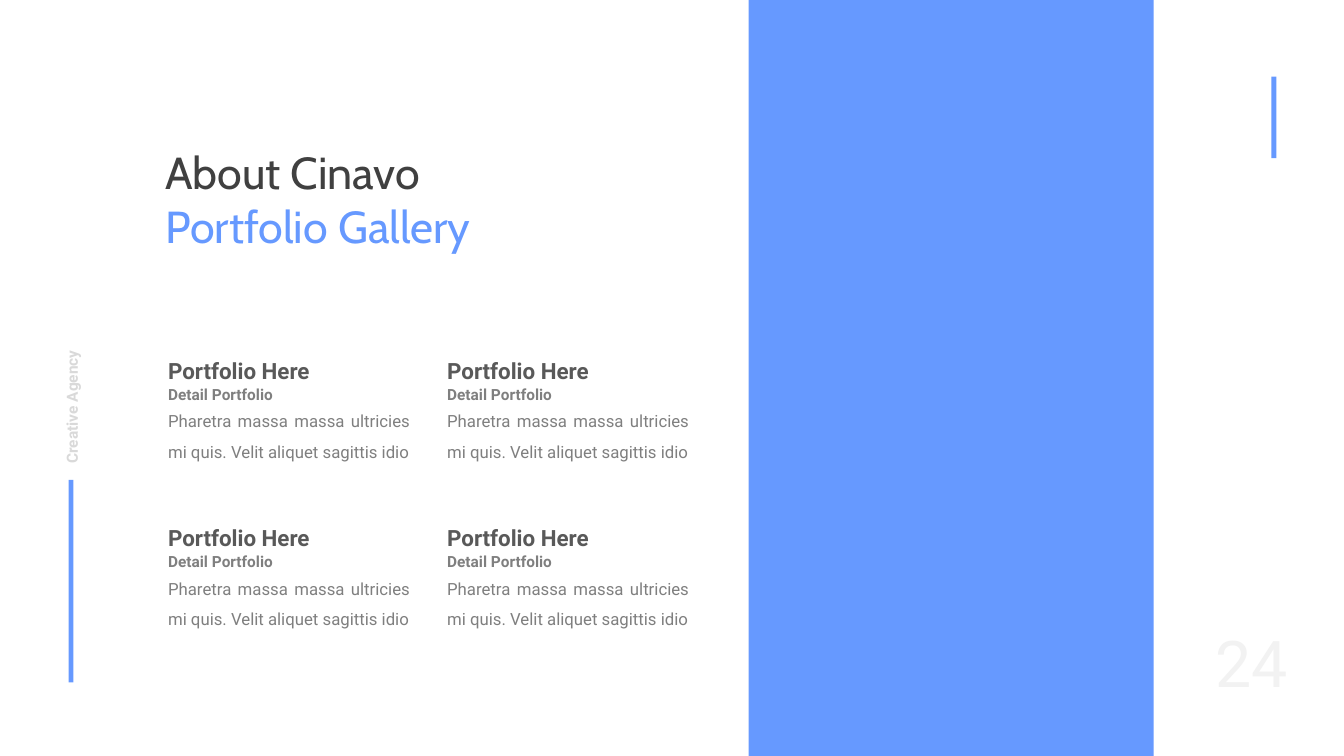
from pptx import Presentation
from pptx.dml.color import RGBColor
from pptx.enum.shapes import MSO_SHAPE as Shape
from pptx.enum.text import PP_ALIGN as Align
from pptx.util import Inches, Pt

COLORS = {
    "blue": "6699FF",
    "title": "404040",
    "heading": "595959",
    "body": "7F7F7F",
    "label": "D9D9D9",
    "number": "F2F2F2",
}


def add_bar(slide, left, top, width, height):
    """Draw a plain blue rectangle."""
    bar = slide.shapes.add_shape(
        Shape.RECTANGLE, Inches(left), Inches(top), Inches(width), Inches(height))
    bar.shadow.inherit = False
    bar.fill.solid()
    bar.fill.fore_color.rgb = RGBColor.from_string(COLORS["blue"])
    bar.line.fill.background()


def add_text(slide, box, runs, size, font="Roboto", bold=False,
             align=Align.JUSTIFY, spacing=1.5):
    """Place one paragraph of (text, colour) runs in a box and return its shape."""
    text_box = slide.shapes.add_textbox(*map(Inches, box))
    frame = text_box.text_frame
    frame.word_wrap = True
    paragraph = frame.paragraphs[0]
    paragraph.alignment = align
    paragraph.line_spacing = spacing
    for text, color in runs:
        run = paragraph.add_run()
        run.text = text
        run.font.name = font
        run.font.size = Pt(size)
        run.font.bold = bold
        run.font.color.rgb = RGBColor.from_string(COLORS[color])
    return text_box


def add_side_label(slide, left, top):
    """Draw the upright agency label with the bar below it."""
    label = add_text(slide, (left - 0.77, top, 1.52, 0.38),
                     [("Creative Agency", "label")], 11, bold=True)
    label.rotation = 270
    add_bar(slide, left, top + 1.01, 0.05, 2.01)


def add_title(slide, left, top):
    """Write the two-colour title, which wraps after its first part."""
    add_text(slide, (left, top, 3.81, 1.17),
             [("About Cinavo ", "title"), ("Portfolio Gallery", "blue")],
             32, font="Cabin", align=Align.LEFT, spacing=1.0)


def add_portfolio_item(slide, left, top):
    """Write one portfolio entry: heading, detail line and description."""
    add_text(slide, (left, top + 0.57, 2.6, 0.7),
             [("Pharetra massa massa ultricies mi quis. "
               "Velit aliquet sagittis idio", "body")], 12)
    add_text(slide, (left, top, 2.6, 0.5),
             [("Portfolio Here", "heading")], 16, bold=True)
    add_text(slide, (left, top + 0.32, 1.6, 0.38),
             [("Detail Portfolio", "body")], 11, bold=True)


def add_portfolio_grid(slide, left, top):
    """Lay out four portfolio entries in two rows of two."""
    for row in range(2):
        for column in range(2):
            add_portfolio_item(slide, left + 2.77 * column, top + 1.66 * row)


def add_right_margin(slide, left, top):
    """Draw the accent bar and the page number of the right margin."""
    add_bar(slide, left, top, 0.05, 0.81)
    add_text(slide, (left - 0.75, top + 5.37, 1.1, 0.85),
             [("24", "number")], 46, align=Align.CENTER, spacing=1.0)


def main():
    """Build the portfolio gallery slide."""
    deck = Presentation()
    deck.slide_width, deck.slide_height = Inches(13.34), Inches(7.5)
    slide = deck.slides.add_slide(deck.slide_layouts[6])
    add_bar(slide, 7.43, 0, 4.02, 7.5)
    add_side_label(slide, 0.68, 3.75)
    add_portfolio_grid(slide, 1.57, 3.36)
    add_title(slide, 1.54, 1.39)
    add_right_margin(slide, 12.62, 0.76)
    deck.save("out.pptx")


if __name__ == "__main__":
    main()
